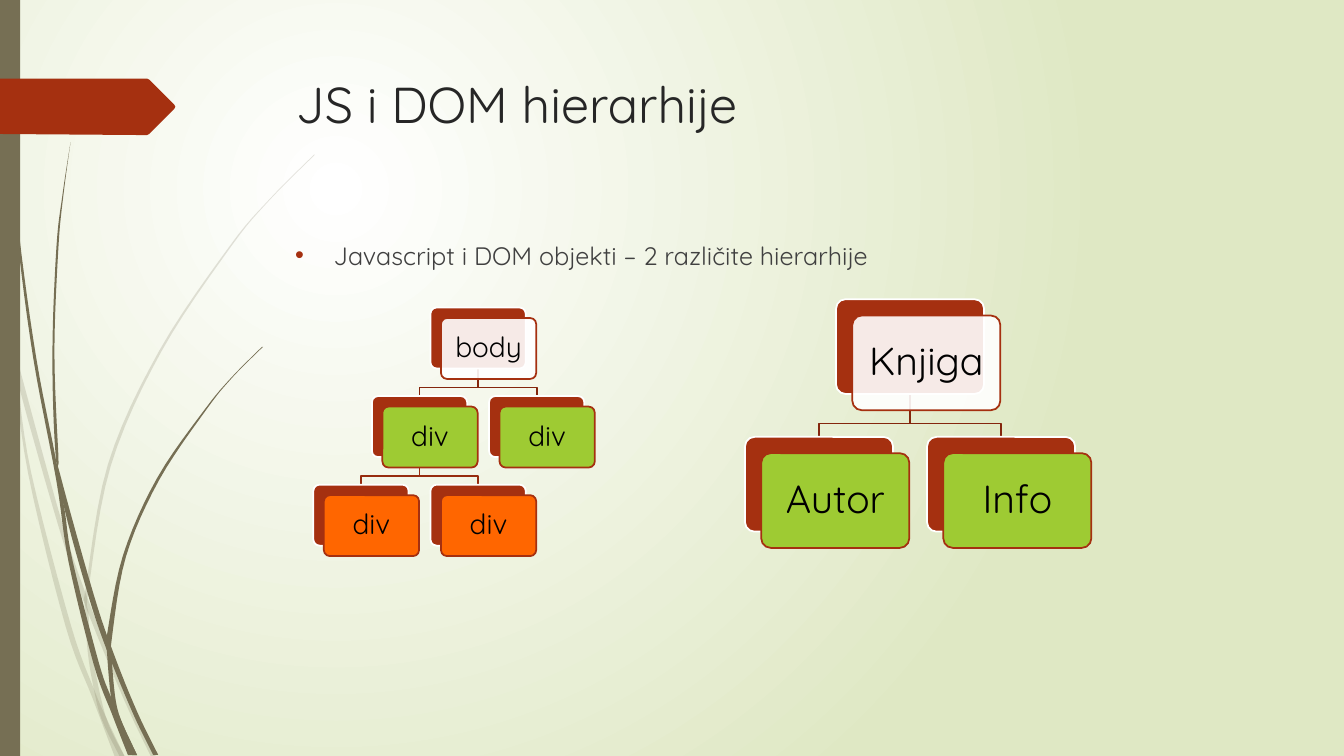
from lxml import etree
from pptx import Presentation
from pptx.dml.color import RGBColor
from pptx.enum.shapes import MSO_SHAPE as SHAPE
from pptx.enum.text import MSO_ANCHOR as ANCHOR, PP_ALIGN as ALIGN
from pptx.oxml.ns import qn
from pptx.util import Cm, Pt

RUST = RGBColor(0xA5, 0x30, 0x10)
RUST_DARK = RGBColor(0x84, 0x26, 0x0D)
RUST_MID = RGBColor(0x96, 0x2C, 0x0F)
OLIVE = RGBColor(0x76, 0x6F, 0x54)
PALE = RGBColor(0xDF, 0xE8, 0xC4)
WHITE = RGBColor(0xFF, 0xFF, 0xFF)
GREEN = RGBColor(0x9E, 0xCB, 0x33)
ORANGE = RGBColor(0xFF, 0x66, 0x00)
BLACK = RGBColor(0x00, 0x00, 0x00)
TITLE = RGBColor(0x26, 0x26, 0x26)
BODY = RGBColor(0x40, 0x40, 0x40)
FONT = "Quicksand"
GRID = 0.0254


def paint(sp, fill=None, line=None, alpha=100):
    sp.shadow.inherit = False
    if fill is None:
        sp.fill.background()
    else:
        sp.fill.solid()
        sp.fill.fore_color.rgb = fill
        if alpha < 100:
            clr = sp._element.spPr.find(qn("a:solidFill"))[0]
            etree.SubElement(clr, qn("a:alpha"), val=str(alpha * 1000))
    if line is None:
        sp.line.fill.background()
    else:
        sp.line.color.rgb = line
        sp.line.width = Pt(1.25)


def smooth(points, steps=6):
    ext = [points[0], *points, points[-1]]
    curve = []
    for a, b, c, d in zip(ext, ext[1:], ext[2:], ext[3:]):
        for i in range(steps):
            t = i / steps
            curve.append(tuple(
                q + t * (r - p) / 2
                + t * t * (2 * p - 5 * q + 4 * r - u) / 2
                + t ** 3 * (3 * q - p - 3 * r + u) / 2
                for p, q, r, u in zip(a, b, c, d)))
    return curve + [points[-1]]


prs = Presentation()
prs.slide_width = Cm(33.87)
prs.slide_height = Cm(19.05)
s = prs.slides.add_slide(prs.slide_layouts[6])

bg = s.background.fill
bg.gradient()
for stop, color, pos in zip(bg.gradient_stops, (WHITE, PALE), (0, 1)):
    stop.color.rgb = color
    stop.position = pos
grad = s._element.find(".//" + qn("a:gradFill"))
grad.remove(grad.find(qn("a:lin")))
focus = etree.SubElement(grad, qn("a:path"), path="circle")
etree.SubElement(focus, qn("a:fillToRect"), l="50000", t="50000", r="100000", b="100000")

blades = [
    (20,
     [(0, 299), (11, 350), (28, 470), (65, 621), (92, 693), (114, 751)],
     [(124, 751), (105, 711), (93, 683), (70, 619), (31, 469), (17, 376), (9, 322), (0, 282)]),
    (20,
     [(14, 345), (17, 376), (58, 522), (84, 599), (123, 694), (150, 751)],
     [(155, 751), (127, 692), (92, 607), (62, 520), (14, 345)]),
    (20,
     [(312, 153), (268, 197), (228, 244), (158, 348), (107, 461), (85, 584), (84, 599),
      (87, 646), (93, 683), (101, 714), (119, 751)],
     [(124, 751), (105, 711), (91, 646), (88, 610), (88, 584), (110, 462), (160, 349),
      (229, 245), (268, 198), (312, 154)]),
    (100,
     [(3, 0), (7, 110), (17, 233), (33, 355), (56, 477), (68, 557), (93, 659), (111, 708),
      (127, 749)],
     [(136, 749), (122, 719), (110, 691), (98, 657), (72, 556), (64, 505), (55, 453),
      (36, 355), (19, 232), (8, 109), (4, 0)]),
    (100,
     [(70, 141), (62, 193), (56, 245), (52, 349), (55, 449), (64, 505), (88, 592),
      (106, 645), (132, 708), (152, 749)],
     [(157, 749), (136, 706), (113, 649), (93, 590), (60, 472), (58, 453), (54, 349),
      (58, 245), (63, 193), (70, 141)]),
    (100,
     [(260, 344), (231, 373), (204, 405), (156, 474), (122, 551), (106, 631), (106, 645),
      (110, 691), (117, 722), (131, 749)],
     [(136, 749), (122, 719), (115, 696), (111, 656), (111, 633), (125, 552), (158, 476),
      (205, 406), (231, 374), (261, 344)]),
]
tag = [(0, 78), (146, 78), (148, 79), (173, 104), (174, 106), (173, 108), (148, 133),
       (146, 134), (136, 134), (0, 133)]
outlines = [(smooth(a) + smooth(b), OLIVE, alpha) for alpha, a, b in blades]
for points, color, alpha in outlines + [(tag, RUST, 100)]:
    pts = [(Cm(x * GRID), Cm(y * GRID)) for x, y in points]
    fb = s.shapes.build_freeform(*pts[0])
    fb.add_line_segments(pts[1:])
    paint(fb.convert_to_shape(), color, alpha=alpha)

sp = s.shapes.add_shape(SHAPE.RECTANGLE, 0, 0, Cm(0.51), Cm(19.05))
paint(sp, OLIVE)
s.shapes._spTree.insert_element_before(sp._element, "p:extLst")
s.shapes._spTree.remove(sp._element)
s.shapes._spTree.insert(len(s.shapes._spTree) - 1, sp._element)

texts = [
    ("JS i DOM hierarhije", 7.21, 1.73, 3.56, 36, TITLE, False),
    ("Javascript i DOM objekti – 2 različite hierarhije", 7.19, 5.92, 10.49, 18, BODY, True),
]
for text, x, y, h, size, color, bullet in texts:
    tf = s.shapes.add_textbox(Cm(x), Cm(y), Cm(24.77), Cm(h)).text_frame
    tf.word_wrap = True
    p = tf.paragraphs[0]
    p.text = text
    if bullet:
        pPr = p._p.get_or_add_pPr()
        pPr.set("marL", str(Cm(0.97)))
        pPr.set("indent", str(-Cm(0.97)))
        clr = etree.SubElement(pPr, qn("a:buClr"))
        etree.SubElement(clr, qn("a:srgbClr"), val=str(RUST))
        etree.SubElement(pPr, qn("a:buFont"), typeface="Arial")
        etree.SubElement(pPr, qn("a:buChar"), char="•")
    r = p.runs[0]
    r.font.name = FONT
    r.font.size = Pt(size)
    r.font.color.rgb = color

trees = [
    (21.07, 7.54, 3.73, 28, [
        ("Knjiga", 0, 0, WHITE, None),
        ("Autor", -1, 1, GREEN, 0),
        ("Info", 1, 1, GREEN, 0),
    ]),
    (10.85, 7.75, 2.4, 20, [
        ("body", 0, 0, WHITE, None),
        ("div", -1, 1, GREEN, 0),
        ("div", 1, 1, GREEN, 0),
        ("div", -2, 2, ORANGE, -1),
        ("div", 0, 2, ORANGE, -1),
    ]),
]
for left, top, w, size, nodes in trees:
    h, shift, column, level = 0.64 * w, 0.11 * w, 0.615 * w, 0.93 * w

    for label, col, row, fill, parent in nodes:
        if parent is None:
            continue
        x0, x1 = (Cm(left + w / 2 + c * column) for c in (parent, col))
        y0 = top + (row - 1) * level + h
        y1 = top + row * level
        bend = Cm(y0 + 0.69 * (y1 - y0))
        fb = s.shapes.build_freeform(x0, Cm(y0))
        fb.add_line_segments([(x0, bend), (x1, bend), (x1, Cm(y1))], close=False)
        paint(fb.convert_to_shape(), line=RUST_DARK if row == 1 else RUST_MID)

    for label, col, row, fill, parent in nodes:
        x, y = left + col * column, top + row * level
        alpha = 90 if fill == WHITE else 100
        for d, color, line, a in ((0, RUST, WHITE, 100), (shift, fill, RUST, alpha)):
            sp = s.shapes.add_shape(SHAPE.ROUNDED_RECTANGLE, Cm(x + d), Cm(y + d), Cm(w), Cm(h))
            sp.adjustments[0] = 0.1
            paint(sp, color, line, a)
        tf = sp.text_frame
        tf.word_wrap = False
        tf.vertical_anchor = ANCHOR.MIDDLE
        tf.margin_left = tf.margin_right = tf.margin_top = tf.margin_bottom = Cm(0.09 * w)
        p = tf.paragraphs[0]
        p.text = label
        p.alignment = ALIGN.CENTER
        p.line_spacing = 0.9
        r = p.runs[0]
        r.font.name = FONT
        r.font.size = Pt(size)
        r.font.color.rgb = BLACK

prs.save("out.pptx")
